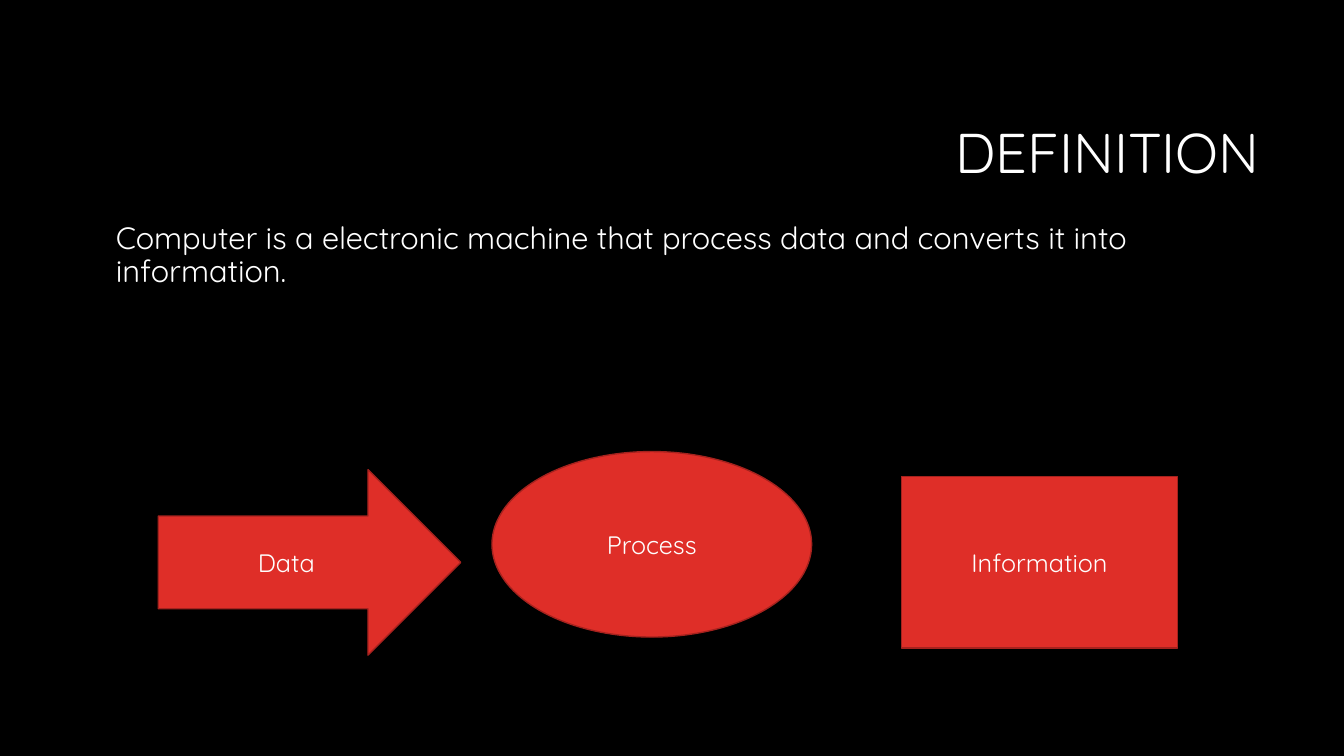
from pptx import Presentation
from pptx.dml.color import RGBColor
from pptx.enum import shapes, text
from pptx.util import Inches, Pt

BLACK = RGBColor(0x00, 0x00, 0x00)
WHITE = RGBColor(0xFF, 0xFF, 0xFF)
RED = RGBColor(0xDF, 0x2E, 0x28)
DARK_RED = RGBColor(0xA5, 0x22, 0x1E)


class SlideBuilder:
    """Holds the style and the current slide."""

    font_name = "Quicksand"

    def __init__(self, page):
        """Keep the page and paint its background."""
        self.page = page
        page.background.fill.solid()
        page.background.fill.fore_color.rgb = BLACK

    def set_text(self, box, words, size, align, anchor):
        """Put one styled paragraph in a box and return it."""
        frame = box.text_frame
        frame.word_wrap = True
        frame.vertical_anchor = anchor
        paragraph = frame.paragraphs[0]
        paragraph.text = words
        paragraph.alignment = align
        paragraph.font.name = self.font_name
        paragraph.font.size = Pt(size)
        paragraph.font.color.rgb = WHITE
        return paragraph

    def text_box(self, place, words, size, align, anchor):
        """Add plain text with tight line spacing and return its paragraph."""
        box = self.page.shapes.add_textbox(*map(Inches, place))
        paragraph = self.set_text(box, words, size, align, anchor)
        paragraph.line_spacing = 0.9
        return paragraph

    def stage(self, kind, place, label):
        """Add a red shape with a centred label."""
        shape = self.page.shapes.add_shape(kind, *map(Inches, place))
        shape.shadow.inherit = False
        shape.fill.solid()
        shape.fill.fore_color.rgb = RED
        shape.line.color.rgb = DARK_RED
        shape.line.width = Pt(1)
        self.set_text(shape, label, 18, text.PP_ALIGN.CENTER, text.MSO_ANCHOR.MIDDLE)


deck = Presentation()
deck.slide_width, deck.slide_height = Inches(13.33), Inches(7.5)
builder = SlideBuilder(deck.slides.add_slide(deck.slide_layouts[6]))

builder.text_box((3.17, 0.84, 9.42, 1.41), "DEFINITION", 40,
                 text.PP_ALIGN.RIGHT, text.MSO_ANCHOR.MIDDLE)
definition = builder.text_box(
    (1.05, 2.16, 10.83, 3.42),
    "Computer is a electronic machine that process data and converts it into information.",
    22, text.PP_ALIGN.LEFT, text.MSO_ANCHOR.TOP)
definition.space_before = Pt(10)

STAGES = [
    (shapes.MSO_SHAPE.RIGHT_ARROW, (1.57, 4.66, 3, 1.84), "Data"),
    (shapes.MSO_SHAPE.OVAL, (4.88, 4.48, 3.17, 1.84), "Process"),
    (shapes.MSO_SHAPE.RECTANGLE, (8.94, 4.73, 2.74, 1.7), "Information"),
]
for kind, place, label in STAGES:
    builder.stage(kind, place, label)

deck.save("out.pptx")
